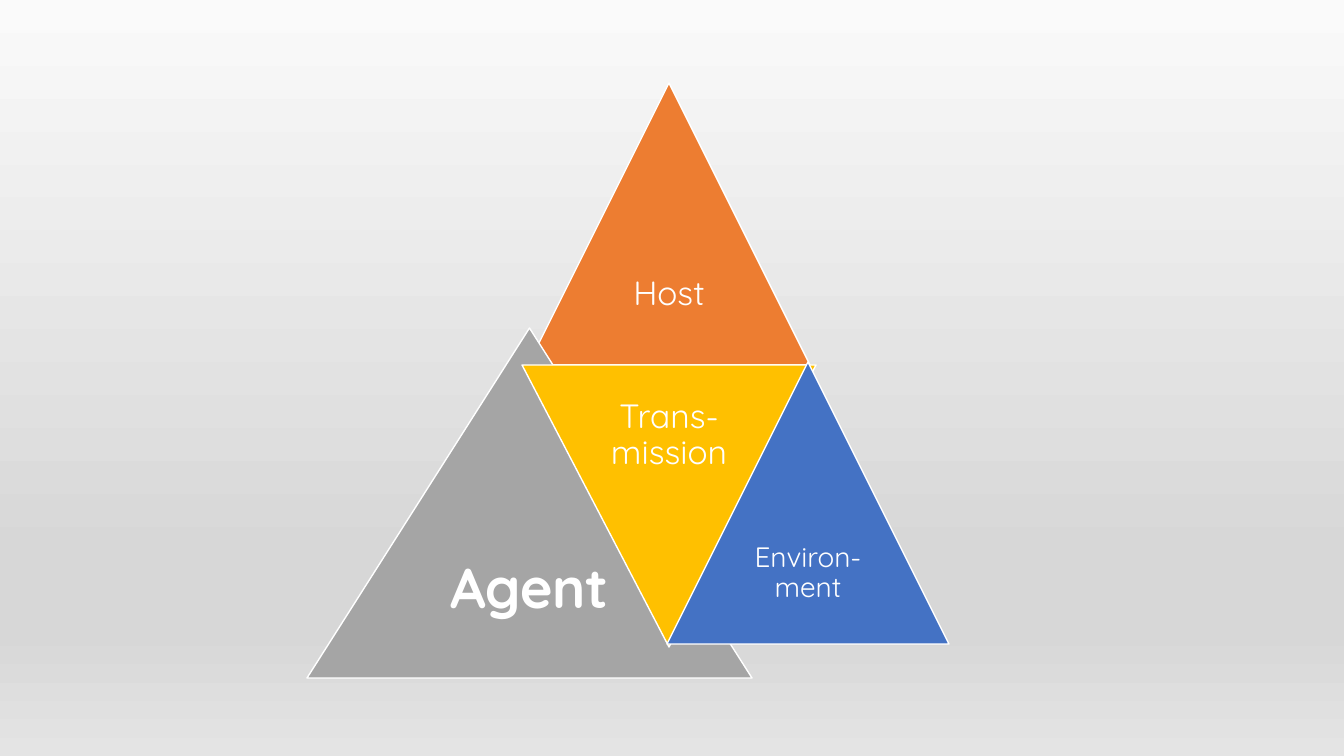
from copy import deepcopy
from typing import NamedTuple

from pptx import Presentation
from pptx.dml.color import RGBColor
from pptx.enum.shapes import MSO_SHAPE
from pptx.enum.text import MSO_ANCHOR, PP_ALIGN
from pptx.oxml.ns import qn
from pptx.util import Emu, Pt

EMU_PER_PX = 914400 / 100.8
FONT = "Quicksand"

WHITE = RGBColor(0xFF, 0xFF, 0xFF)
ORANGE = RGBColor(0xED, 0x7D, 0x31)
GRAY = RGBColor(0xA5, 0xA5, 0xA5)
YELLOW = RGBColor(0xFF, 0xC0, 0x00)
BLUE = RGBColor(0x44, 0x72, 0xC4)
PALE_GRAY = RGBColor(0xFA, 0xFA, 0xFA)
MIDDLE_GRAY = RGBColor(0xD7, 0xD7, 0xD7)
LIGHT_GRAY = RGBColor(0xE4, 0xE4, 0xE4)

BACKDROP_STOPS = [(0, PALE_GRAY), (0.74, MIDDLE_GRAY), (0.83, MIDDLE_GRAY), (1, LIGHT_GRAY)]


class Factor(NamedTuple):
    label: str
    box: tuple  # left, top, width, height in px
    color: RGBColor
    size: int
    inset: int
    bold: bool = False
    inverted: bool = False


FACTORS = [
    Factor("Host", (528, 83, 282, 282), ORANGE, 24, 10),
    Factor("Agent", (307, 328, 445, 350), GRAY, 40, 17, bold=True),
    Factor("Trans-mission", (522, 365, 294, 282), YELLOW, 24, 10, inverted=True),
    Factor("Environ-ment", (667, 362, 282, 282), BLUE, 20, 8),
]


def px(length):
    return Emu(round(length * EMU_PER_PX))


def paint_backdrop(slide):
    fill = slide.background.fill
    fill.gradient()
    fill.gradient_angle = 270
    stop_list = slide.element.find(".//" + qn("a:gsLst"))
    while len(stop_list) < len(BACKDROP_STOPS):
        stop_list.append(deepcopy(stop_list[-1]))
    for stop, (position, color) in zip(fill.gradient_stops, BACKDROP_STOPS):
        stop.position = position
        stop.color.rgb = color


def add_triangle(shapes, factor):
    triangle = shapes.add_shape(MSO_SHAPE.ISOSCELES_TRIANGLE, *map(px, factor.box))
    triangle.shadow.inherit = False
    triangle.rotation = 180 if factor.inverted else 0
    triangle.fill.solid()
    triangle.fill.fore_color.rgb = factor.color
    triangle.line.color.rgb = WHITE
    triangle.line.width = Pt(1)


def add_label(shapes, factor):
    """Place the label in the middle of the triangle's wide half."""
    left, top, width, height = factor.box
    label_top = top if factor.inverted else top + height / 2
    label = shapes.add_textbox(
        px(left + width / 4), px(label_top), px(width / 2), px(height / 2))
    frame = label.text_frame
    frame.word_wrap = True
    frame.vertical_anchor = MSO_ANCHOR.MIDDLE
    frame.margin_left = frame.margin_right = px(factor.inset)
    frame.margin_top = frame.margin_bottom = px(factor.inset)
    paragraph = frame.paragraphs[0]
    paragraph.alignment = PP_ALIGN.CENTER
    paragraph.line_spacing = 0.9
    paragraph.space_after = Pt(factor.size * 0.35)
    run = paragraph.add_run()
    run.text = factor.label
    run.font.name = FONT
    run.font.size = Pt(factor.size)
    run.font.bold = factor.bold
    run.font.color.rgb = WHITE


def add_pyramid(slide):
    pyramid = slide.shapes.add_group_shape()
    for factor in FACTORS:
        add_triangle(pyramid.shapes, factor)
        add_label(pyramid.shapes, factor)


def main():
    presentation = Presentation()
    presentation.slide_width = px(1344)
    presentation.slide_height = px(756)
    slide = presentation.slides.add_slide(presentation.slide_layouts[6])
    paint_backdrop(slide)
    add_pyramid(slide)
    presentation.save("out.pptx")


if __name__ == "__main__":
    main()
